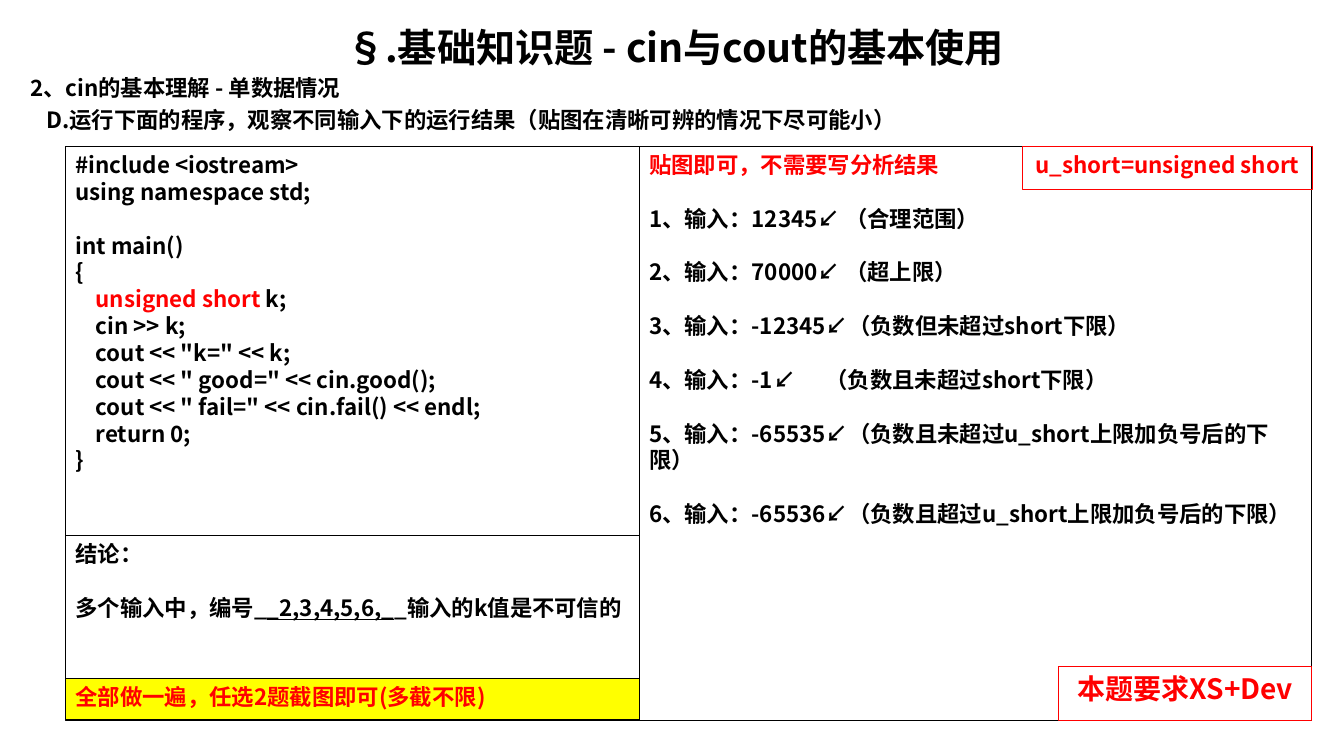
"""Build the slide on basic cin input of a single unsigned short."""
from dataclasses import dataclass, field

import pptx
import pptx.dml.color
import pptx.enum.text
import pptx.oxml
import pptx.oxml.ns
import pptx.util
from pptx.enum.shapes import MSO_SHAPE

Inches, Pt = pptx.util.Inches, pptx.util.Pt
RGBColor = pptx.dml.color.RGBColor
ALIGN = pptx.enum.text.PP_ALIGN
ANCHOR = pptx.enum.text.MSO_ANCHOR

BLACK = RGBColor(0x00, 0x00, 0x00)
RED = RGBColor(0xFF, 0x00, 0x00)
YELLOW = RGBColor(0xFF, 0xFF, 0x00)
FONT = "Noto Sans CJK SC"
LINE_RATIO = 1.2
BODY_SIZE = 16
BLANK_LINE = BODY_SIZE * LINE_RATIO
TAB_STOP = Inches(1.75)


@dataclass
class Span:
    text: str
    color: RGBColor | None = None
    underline: bool = False


@dataclass
class Para:
    spans: list[Span]
    before: float = 0
    indent: float = 0


@dataclass
class Box:
    left: float
    top: float
    width: float
    height: float
    paras: list[Para]
    color: RGBColor = BLACK
    line: RGBColor | None = BLACK
    fill: RGBColor | None = None
    size: float = BODY_SIZE
    align: ALIGN = field(default=ALIGN.LEFT)


def para(text: str, before: float = 0, color: RGBColor | None = None, indent: float = 0) -> Para:
    return Para([Span(text, color)], before, indent)


def add_tab_stop(p) -> None:
    tabs = pptx.oxml.parse_xml(
        f'<a:tabLst {pptx.oxml.ns.nsdecls("a")}><a:tab pos="{TAB_STOP}" algn="l"/></a:tabLst>')
    p._p.get_or_add_pPr().append(tabs)


def format_run(r, size: float, color: RGBColor, underline: bool = False) -> None:
    r.font.size = Pt(size)
    r.font.bold = True
    r.font.name = FONT
    r.font.color.rgb = color
    if underline:
        r.font.underline = True
    ea = pptx.oxml.parse_xml(f'<a:ea {pptx.oxml.ns.nsdecls("a")} typeface="{FONT}"/>')
    r.font._element.find(pptx.oxml.ns.qn("a:latin")).addnext(ea)


def write_text(sp, box: Box) -> None:
    tf = sp.text_frame
    tf.word_wrap = True
    tf.auto_size = pptx.enum.text.MSO_AUTO_SIZE.NONE
    tf.vertical_anchor = ANCHOR.TOP
    for i, item in enumerate(box.paras):
        p = tf.paragraphs[0] if i == 0 else tf.add_paragraph()
        if any("\t" in span.text for span in item.spans):
            add_tab_stop(p)
        if item.indent:
            p._p.get_or_add_pPr().set("marL", str(Inches(item.indent)))
        p.alignment = box.align
        p.line_spacing = Pt(box.size * LINE_RATIO)
        p.space_before = Pt(item.before)
        for span in item.spans:
            r = p.add_run()
            r.text = span.text
            format_run(r, box.size, span.color or box.color, span.underline)


def add_box(slide, box: Box) -> None:
    sp = slide.shapes.add_shape(
        MSO_SHAPE.RECTANGLE, *map(Inches, (box.left, box.top, box.width, box.height)))
    sp.shadow.inherit = False
    if box.fill is None:
        sp.fill.background()
    else:
        sp.fill.solid()
        sp.fill.fore_color.rgb = box.fill
    if box.line is None:
        sp.line.fill.background()
    else:
        sp.line.color.rgb = box.line
        sp.line.width = Pt(0.75)
    write_text(sp, box)


LEFT, MIDDLE, TOP = 0.65, 6.34, 1.45
LEFT_WIDTH, RIGHT_WIDTH, HEIGHT = 5.69, 6.67, 5.7

TITLE = Box(0.2, 0.18, 12.99, 0.6, [para("§.基础知识题 - cin与cout的基本使用")],
            size=28, align=ALIGN.CENTER)

CODE = [
    para("#include <iostream>"),
    para("using namespace std;"),
    para("int main()", BLANK_LINE),
    para("{"),
    Para([Span("    "), Span("unsigned short", RED), Span(" k;")]),
    para("    cin >> k;"),
    para('    cout << "k=" << k;'),
    para('    cout << " good=" << cin.good();'),
    para('    cout << " fail=" << cin.fail() << endl;'),
    para("    return 0;"),
    para("}"),
]

INPUTS = [
    "12345↙ （合理范围）",
    "70000↙ （超上限）",
    "-12345↙（负数但未超过short下限）",
    "-1↙\t（负数且未超过short下限）",
    "-65535↙（负数且未超过u_short上限加负号后的下限）",
    "-65536↙（负数且超过u_short上限加负号后的下限）",
]

CONCLUSION = [
    para("结论："),
    Para([Span("多个输入中，编号_"), Span("_2,3,4,5,6,_", underline=True),
          Span("_输入的k值是不可信的")], BLANK_LINE),
]

BOXES = [
    Box(0.2, 0.69, 12.99, 0.75, [
        para("2、cin的基本理解 - 单数据情况"),
        para("D.运行下面的程序，观察不同输入下的运行结果（贴图在清晰可辨的情况下尽可能小）",
             3.2, indent=0.16),
    ], line=None),
    Box(LEFT, TOP, LEFT_WIDTH, HEIGHT, CODE),
    Box(MIDDLE, TOP, RIGHT_WIDTH, HEIGHT,
        [para("贴图即可，不需要写分析结果", color=RED)]
        + [para(f"{n}、输入：{text}", BLANK_LINE) for n, text in enumerate(INPUTS, 1)]),
    Box(10.5, 6.61, 2.51, 0.54, [para("本题要求XS+Dev")], RED, RED,
        size=20, align=ALIGN.CENTER),
    Box(LEFT, 5.31, LEFT_WIDTH, 1.83, CONCLUSION),
    Box(10.14, TOP, 2.88, 0.43, [para("u_short=unsigned short")], RED, RED,
        align=ALIGN.CENTER),
    Box(LEFT, 6.73, LEFT_WIDTH, 0.41, [para("全部做一遍，任选2题截图即可(多截不限)")],
        RED, fill=YELLOW),
]


def main() -> None:
    prs = pptx.Presentation()
    prs.slide_width, prs.slide_height = Inches(13.33), Inches(7.5)
    slide = prs.slides.add_slide(prs.slide_layouts[5])
    title = slide.shapes.title
    title.left, title.top = Inches(TITLE.left), Inches(TITLE.top)
    title.width, title.height = Inches(TITLE.width), Inches(TITLE.height)
    write_text(title, TITLE)
    for box in BOXES:
        add_box(slide, box)
    prs.save("out.pptx")


if __name__ == "__main__":
    main()
